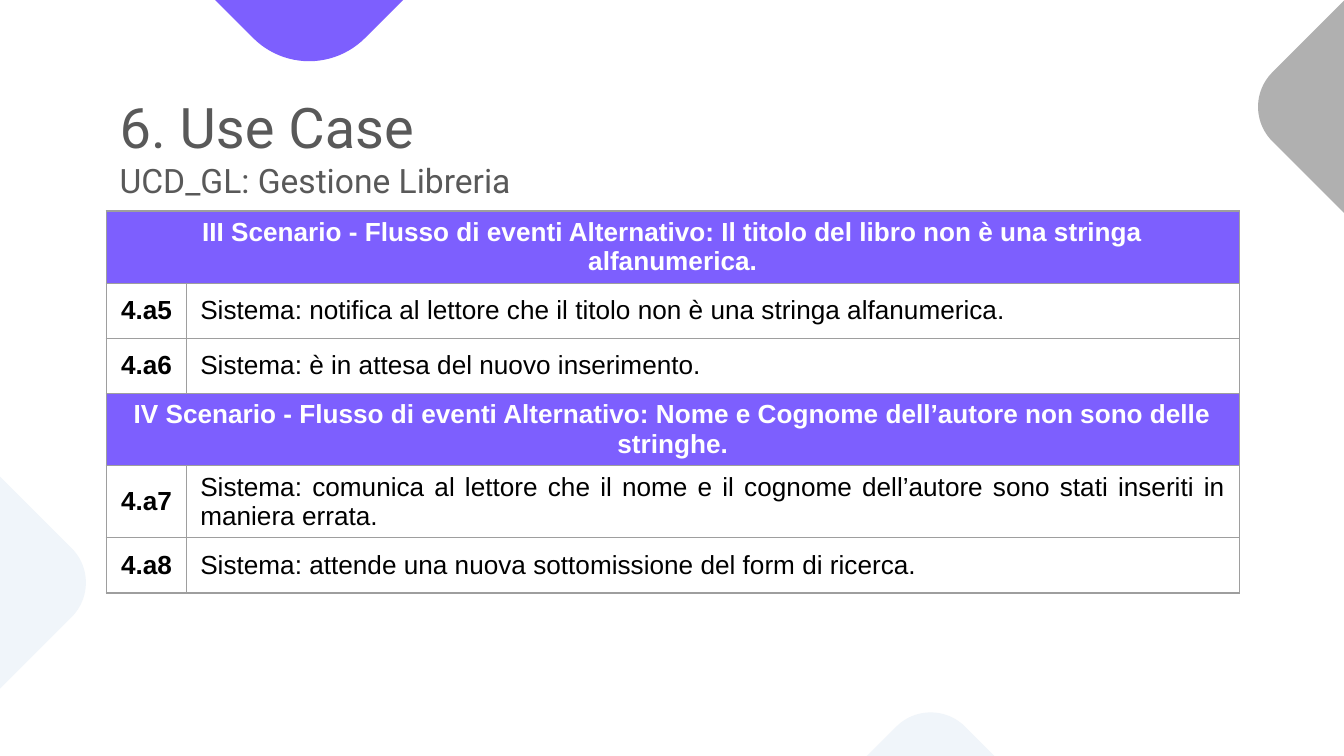
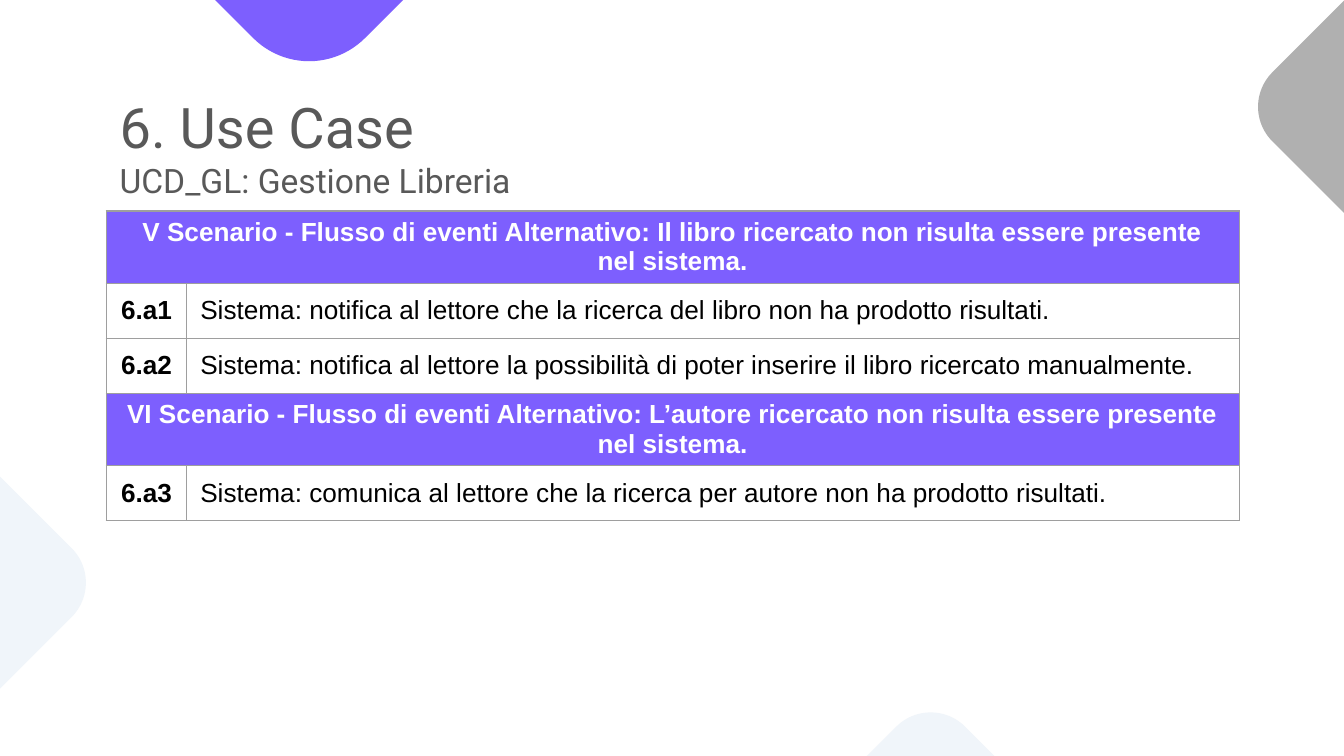
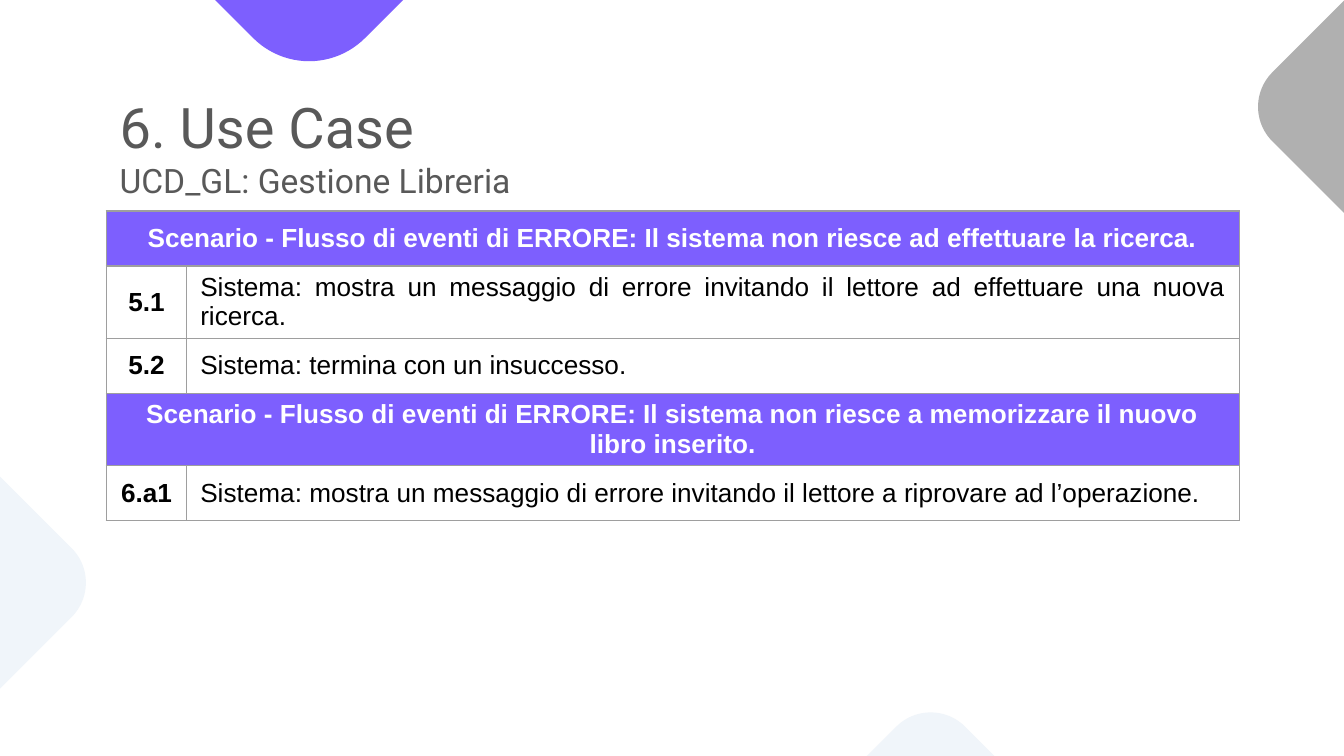
from dataclasses import dataclass

from lxml.etree import SubElement
from pptx import Presentation
from pptx.dml.color import RGBColor
from pptx.enum.shapes import MSO_SHAPE as Shape
from pptx.enum.text import MSO_ANCHOR as Anchor, MSO_AUTO_SIZE as AutoSize, PP_ALIGN as Align
from pptx.oxml.ns import qn
from pptx.util import Inches, Pt

COLORS = {
    "violet": "7D5FFE",
    "grey": "B0B0B0",
    "pale": "F0F5FA",
    "title": "595959",
    "border": "9E9E9E",
    "black": "000000",
    "white": "FFFFFF",
}
SLIDE_WIDTH = 10
SLIDE_HEIGHT = SLIDE_WIDTH * 9 / 16
LEFT, WIDTH = 0.79, 8.43
TITLE_TOP, TITLE_HEIGHT = 0.59, 0.98
TABLE_TOP = TITLE_TOP + TITLE_HEIGHT
STEP_WIDTH, ROW_HEIGHT = 0.6, 0.41
HEADING_MARGIN = 0.11
TITLE, SUBTITLE = "6. Use Case", "UCD_GL: Gestione Libreria"


@dataclass
class Diamond:
    left: float
    top: float
    size: float
    color: str


@dataclass
class Scenario:
    heading: str
    steps: list[tuple[str, str]]


DIAMONDS = [
    Diamond(0.54, -3.55, 3.52, "violet"),
    Diamond(9.66, -0.29, 2.17, "grey"),
    Diamond(-1.83, 3.25, 2.17, "pale"),
    Diamond(5.84, 5.6, 2.17, "pale"),
]

SLIDES = [
    [
        Scenario(
            "III Scenario - Flusso di eventi Alternativo: Il titolo del libro non è una stringa alfanumerica.",
            [
                ("4.a5", "Sistema: notifica al lettore che il titolo non è una stringa alfanumerica."),
                ("4.a6", "Sistema: è in attesa del nuovo inserimento."),
            ],
        ),
        Scenario(
            "IV Scenario - Flusso di eventi Alternativo: Nome e Cognome dell’autore non sono delle stringhe.",
            [
                ("4.a7", "Sistema: comunica al lettore che il nome e il cognome dell’autore sono stati "
                         "inseriti in maniera errata."),
                ("4.a8", "Sistema: attende una nuova sottomissione del form di ricerca."),
            ],
        ),
    ],
    [
        Scenario(
            "V Scenario - Flusso di eventi Alternativo: Il libro ricercato non risulta essere presente nel sistema.",
            [
                ("6.a1", "Sistema: notifica al lettore che la ricerca del libro non ha prodotto risultati."),
                ("6.a2", "Sistema: notifica al lettore la possibilità di poter inserire il libro "
                         "ricercato manualmente."),
            ],
        ),
        Scenario(
            "VI Scenario - Flusso di eventi Alternativo: L’autore ricercato non risulta essere presente nel sistema.",
            [("6.a3", "Sistema: comunica al lettore che la ricerca per autore non ha prodotto risultati.")],
        ),
    ],
    [
        Scenario(
            "Scenario - Flusso di eventi di ERRORE: Il sistema non riesce ad effettuare la ricerca.",
            [
                ("5.1", "Sistema: mostra un messaggio di errore invitando il lettore ad effettuare "
                        "una nuova ricerca."),
                ("5.2", "Sistema: termina con un insuccesso."),
            ],
        ),
        Scenario(
            "Scenario - Flusso di eventi di ERRORE: Il sistema non riesce a memorizzare il nuovo libro inserito.",
            [("6.a1", "Sistema: mostra un messaggio di errore invitando il lettore a riprovare ad l’operazione.")],
        ),
    ],
]


def rgb(name: str) -> RGBColor:
    return RGBColor.from_string(COLORS[name])


def add_text(p, text: str, *, size=14, font="Arial", color="black", bold=False, align=Align.LEFT) -> None:
    p.alignment = align
    r = p.add_run()
    r.text = text
    r.font.size, r.font.name, r.font.bold = Pt(size), font, bold
    r.font.color.rgb = rgb(color)


def add_diamonds(s, layout) -> None:
    """Draw the corner diamonds on a slide and move them behind the layout's content."""
    for i, d in enumerate(DIAMONDS):
        sp = s.shapes.add_shape(
            Shape.ROUNDED_RECTANGLE, Inches(d.left), Inches(d.top), Inches(d.size), Inches(d.size))
        sp.rotation = 315
        sp.adjustments[0] = 0.167
        sp.shadow.inherit = False
        sp.fill.solid()
        sp.fill.fore_color.rgb = rgb(d.color)
        sp.line.fill.background()
        sp.element.nvSpPr.cNvPr.set("id", str(20 + i))
        layout.shapes.element.insert(2 + i, sp.element)


def add_title(s) -> None:
    sp = s.shapes.title
    sp.left, sp.top = Inches(LEFT), Inches(TITLE_TOP)
    sp.width, sp.height = Inches(WIDTH), Inches(TITLE_HEIGHT)
    tf = sp.text_frame
    tf.word_wrap, tf.auto_size, tf.vertical_anchor = True, AutoSize.NONE, Anchor.TOP
    tf.margin_left = tf.margin_right = tf.margin_top = tf.margin_bottom = Inches(0.1)
    p = tf.paragraphs[0]
    add_text(p, TITLE, size=30, font="Roboto", color="title")
    p.add_line_break()
    add_text(p, SUBTITLE, size=18, font="Roboto", color="title")
    for br in sp.element.iter(qn("a:br")):
        SubElement(br, qn("a:rPr"), sz="3000")


def set_borders(frame) -> None:
    for tc in frame.element.iter(qn("a:tc")):
        props = tc.get_or_add_tcPr()
        for i, side in enumerate(("lnL", "lnR", "lnT", "lnB")):
            ln = SubElement(props, qn(f"a:{side}"), w=str(Pt(0.75)))
            fill = SubElement(ln, qn("a:solidFill"))
            SubElement(fill, qn("a:srgbClr"), val=COLORS["border"])
            props.insert(i, ln)


def add_scenarios(s, scenarios: list[Scenario]) -> None:
    rows = []
    for scenario in scenarios:
        rows += [(scenario.heading,), *scenario.steps]
    frame = s.shapes.add_table(
        len(rows), 2, Inches(LEFT), Inches(TABLE_TOP), Inches(WIDTH), Inches(ROW_HEIGHT * len(rows)))
    table = frame.table
    table.first_row = table.horz_banding = False
    table.columns[0].width = Inches(STEP_WIDTH)
    table.columns[1].width = Inches(WIDTH - STEP_WIDTH)
    for i, row in enumerate(rows):
        table.rows[i].height = Inches(ROW_HEIGHT)
        is_heading = len(row) == 1
        if is_heading:
            table.cell(i, 0).merge(table.cell(i, 1))
        for j, text in enumerate(row):
            cell = table.cell(i, j)
            cell.vertical_anchor = Anchor.MIDDLE
            if is_heading:
                cell.margin_left = cell.margin_right = Inches(HEADING_MARGIN)
                cell.fill.solid()
                cell.fill.fore_color.rgb = rgb("violet")
            else:
                cell.fill.background()
            add_text(
                cell.text_frame.paragraphs[0], text,
                color="white" if is_heading else "black",
                bold=j == 0,
                align=Align.JUSTIFY if j else Align.CENTER,
            )
    set_borders(frame)


def main() -> None:
    prs = Presentation()
    prs.slide_width, prs.slide_height = Inches(SLIDE_WIDTH), Inches(SLIDE_HEIGHT)
    layout = prs.slide_layouts[5]
    for i, scenarios in enumerate(SLIDES):
        s = prs.slides.add_slide(layout)
        if i == 0:
            add_diamonds(s, layout)
        add_title(s)
        add_scenarios(s, scenarios)
    prs.save("out.pptx")


if __name__ == "__main__":
    main()
